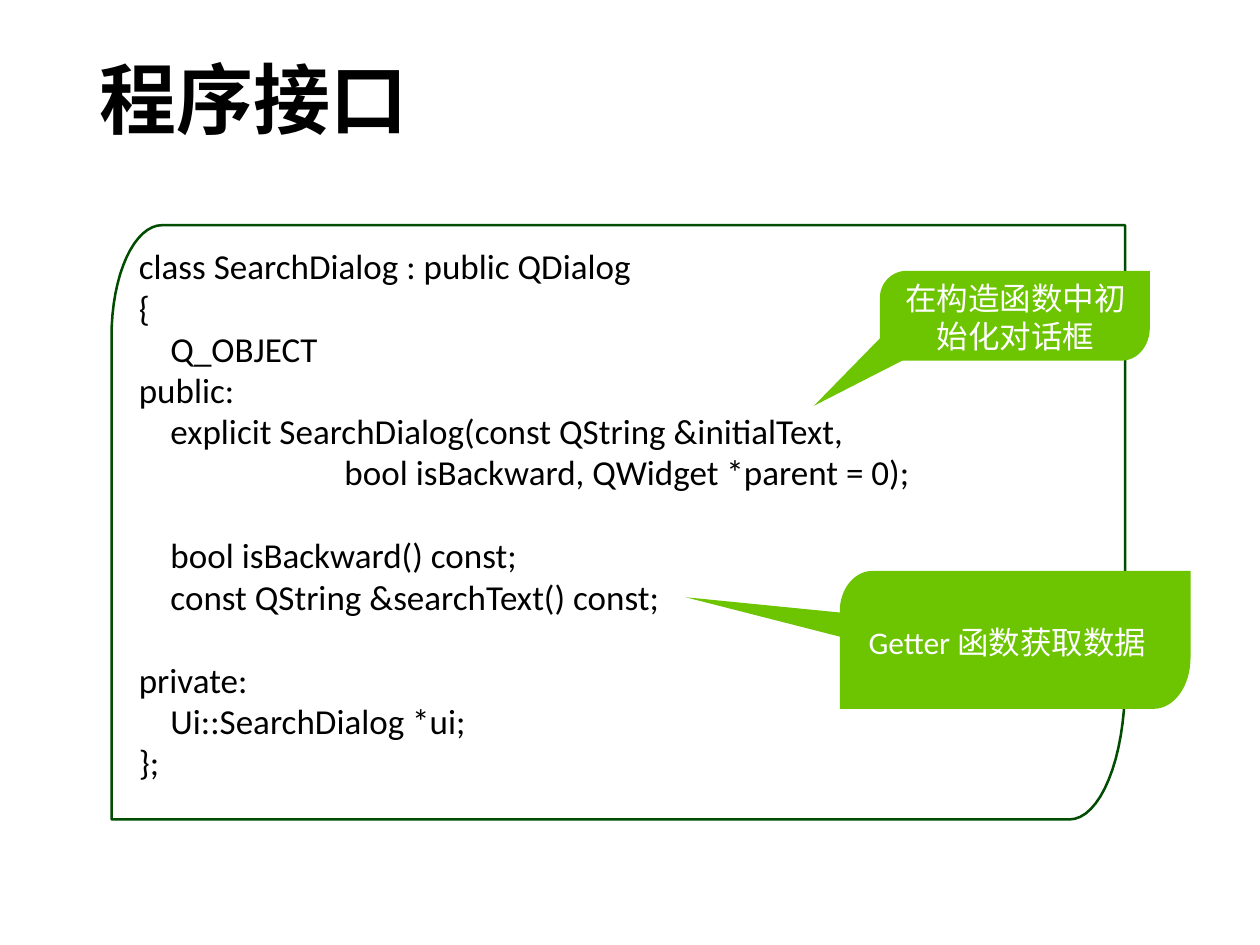
from math import cos, pi, sin

from pptx import Presentation
from pptx.dml.color import RGBColor
from pptx.enum.text import MSO_ANCHOR, PP_ALIGN
from pptx.util import Cm, Pt

FONT = "Calibri"
BLACK, WHITE, GREEN, DARK_GREEN = "000000", "FFFFFF", "6DC400", "004C00"
LEFT, CENTER = PP_ALIGN.LEFT, PP_ALIGN.CENTER
TOP, MIDDLE = MSO_ANCHOR.TOP, MSO_ANCHOR.MIDDLE
STEPS = 16

CODE = """class SearchDialog : public QDialog
{
    Q_OBJECT
public:
    explicit SearchDialog(const QString &initialText,
                          bool isBackward, QWidget *parent = 0);

    bool isBackward() const;
    const QString &searchText() const;

private:
    Ui::SearchDialog *ui;
};"""

prs = Presentation()
prs.slide_width, prs.slide_height = Cm(25.4), Cm(19.05)
s = prs.slides.add_slide(prs.slide_layouts[6])


def add_outline(points, fill=None, line=None):
    """Draw a closed outline through points given in centimetres."""
    pts = [(Cm(x), Cm(y)) for x, y in points]
    fb = s.shapes.build_freeform(*pts[0])
    fb.add_line_segments(pts[1:], close=True)
    sp = fb.convert_to_shape()
    sp.shadow.inherit = False
    for part, color in ((sp.fill, fill), (sp.line.fill, line)):
        if color:
            part.solid()
            part.fore_color.rgb = RGBColor.from_string(color)
        else:
            part.background()
    return sp


def leaf(left, top, right, bottom, tl, br):
    """Points of a box whose top-left and bottom-right corners are elliptic."""
    turns = [pi / 2 * i / STEPS for i in range(STEPS + 1)]
    start = [(left + tl[0] * (1 - cos(a)), top + tl[1] * (1 - sin(a))) for a in turns]
    end = [(right - br[0] * (1 - cos(a)), bottom - br[1] * (1 - sin(a))) for a in turns]
    return start + [(right, top)] + end + [(left, bottom)]


add_outline(leaf(2.25, 4.54, 22.68, 16.52, (1.02, 2.24), (1.12, 2.74)),
            line=DARK_GREEN).line.width = Pt(1.45)

callouts = [
    (leaf(17.74, 5.46, 23.18, 7.27, (0.54, 0.54), (0.56, 0.66)),
     [(17.75, 6.81), (16.41, 8.18), (18.21, 7.26)]),
    (leaf(16.93, 11.51, 24, 14.29, (0.66, 0.81), (0.74, 1.02)),
     [(17.45, 12.4), (13.82, 12.04), (16.99, 12.85)]),
]
for body, pointer in callouts:
    add_outline(pointer, fill=GREEN)
    add_outline(body, fill=GREEN)

# text, box, insets, anchor, alignment, size, bold, colour, line spacing
texts = [
    ("程序接口", (1.75, 1.02, 21.9, 2.13), (0.25, 0.13, 0.25, 0.13),
     MIDDLE, LEFT, 44, True, BLACK, 0.9),
    (CODE, (2.57, 4.85, 20.12, 11.3), (0.23, 0.13, 0.23, 0.1),
     TOP, LEFT, 20, False, BLACK, 0.98),
    ("在构造函数中初始化对话框", (17.74, 5.46, 5.46, 1.82), (0.28, 0.2, 0.28, 0.15),
     MIDDLE, CENTER, 18, False, WHITE, 1.0),
    ("Getter 函数获取数据", (16.41, 11.96, 7.8, 1.93), (0.28, 0.2, 0.28, 0.15),
     MIDDLE, CENTER, 18, False, WHITE, 1.0),
]
for text, box, insets, anchor, align, size, bold, color, spacing in texts:
    tf = s.shapes.add_textbox(*map(Cm, box)).text_frame
    tf.word_wrap = True
    tf.vertical_anchor = anchor
    tf.margin_left, tf.margin_top, tf.margin_right, tf.margin_bottom = map(Cm, insets)
    p, gap = tf.paragraphs[0], False
    for line in text.split("\n"):
        if not line:
            gap = True
            continue
        if p.runs:
            p = tf.add_paragraph()
        p.alignment, p.line_spacing = align, spacing
        if gap:
            p.space_before = Pt(24)
            gap = False
        r = p.add_run()
        r.text = line
        r.font.name, r.font.size, r.font.bold = FONT, Pt(size), bold
        r.font.color.rgb = RGBColor.from_string(color)

prs.save("out.pptx")
